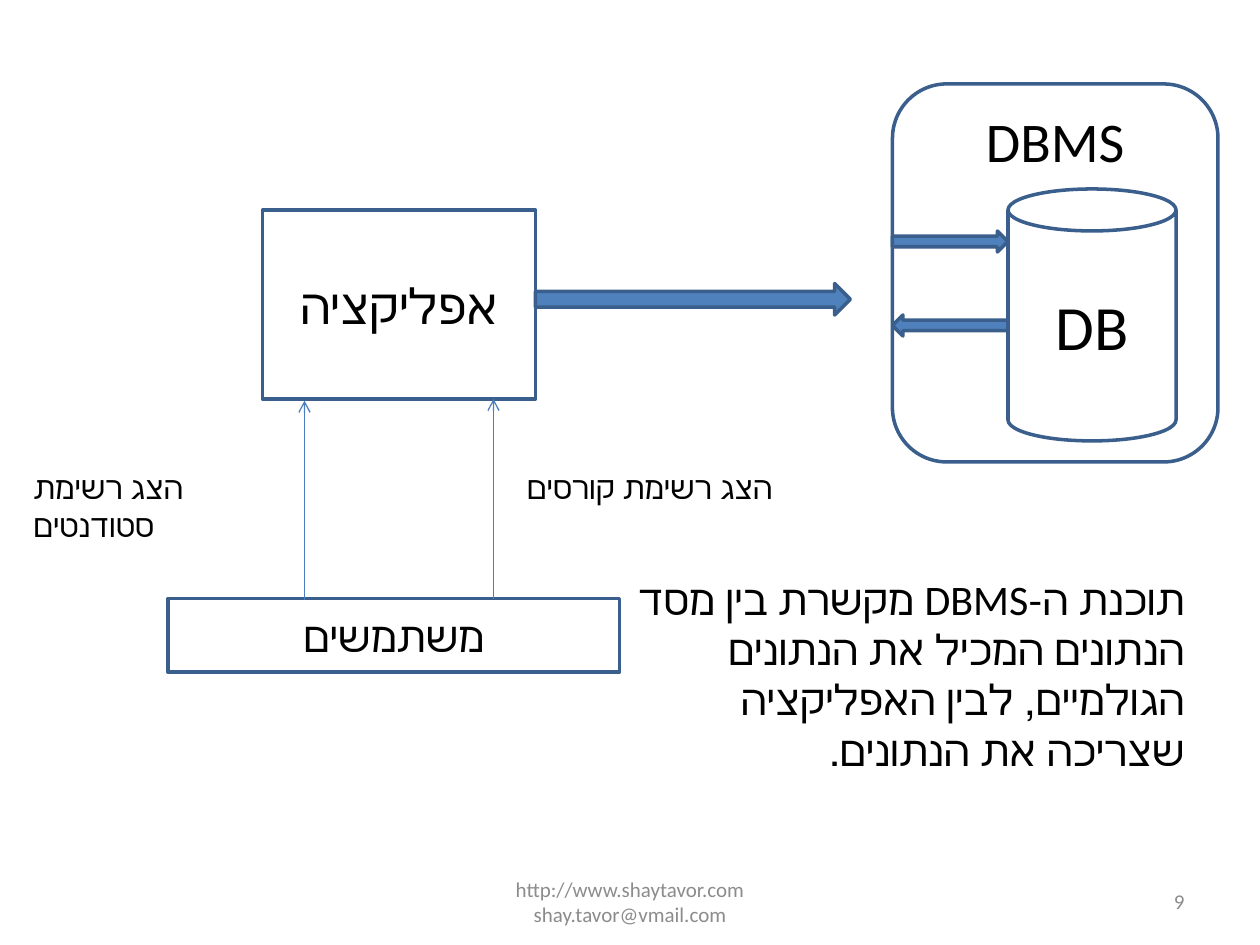
from lxml.etree import SubElement
from pptx import Presentation
from pptx.dml.color import RGBColor
from pptx.enum.shapes import MSO_CONNECTOR, MSO_SHAPE
from pptx.enum.text import MSO_ANCHOR, PP_ALIGN
from pptx.oxml.ns import qn
from pptx.util import Pt

FONT = "Calibri"
BLACK, GREY = "000000", "8C8C8C"
OUTLINE, ARROW_FILL, THIN_LINE = "3A5F8C", "4F81BD", "4B7EBC"


def color(hex_value):
    return RGBColor.from_string(hex_value)


def write_text(shape, text, size=18, text_color=BLACK, align=PP_ALIGN.LEFT,
               anchor=MSO_ANCHOR.TOP, right_to_left=False):
    frame = shape.text_frame
    frame.word_wrap = True
    frame.vertical_anchor = anchor
    paragraph = frame.paragraphs[0]
    paragraph.alignment = align
    if right_to_left:
        paragraph._p.get_or_add_pPr().set("rtl", "1")
    run = paragraph.add_run()
    run.text = text
    run.font.name = FONT
    run.font.size = Pt(size)
    run.font.color.rgb = color(text_color)


def add_text(slide, box, text, **text_format):
    write_text(slide.shapes.add_textbox(*map(Pt, box)), text, **text_format)


def add_figure(slide, kind, box, fill=None):
    shape = slide.shapes.add_shape(kind, *map(Pt, box))
    shape.shadow.inherit = False
    shape.line.color.rgb = color(OUTLINE)
    shape.line.width = Pt(2)
    if fill:
        shape.fill.solid()
        shape.fill.fore_color.rgb = color(fill)
    else:
        shape.fill.background()
    return shape


def add_labelled_figure(slide, kind, box, text, size, anchor=MSO_ANCHOR.MIDDLE):
    write_text(add_figure(slide, kind, box), text, size=size,
               align=PP_ALIGN.CENTER, anchor=anchor)


def add_request_arrow(slide, x, bottom, top):
    connector = slide.shapes.add_connector(
        MSO_CONNECTOR.STRAIGHT, Pt(x), Pt(bottom), Pt(x), Pt(top))
    connector.line.color.rgb = color(THIN_LINE)
    connector.line.width = Pt(0.75)
    SubElement(connector.line._get_or_add_ln(), qn("a:tailEnd"), type="arrow")
    SubElement(connector._element.spPr, qn("a:effectLst"))


def add_client_side(slide, box):
    """Application above, users below, and the requests between them."""
    left, top, width, height = box
    application_left, application_width, application_height = left + 54, 156, 108
    application_bottom = top + application_height
    users_height = 42
    users_top = top + height - users_height

    add_labelled_figure(slide, MSO_SHAPE.RECTANGLE,
                        (application_left, top, application_width, application_height),
                        "אפליקציה", 28)
    add_labelled_figure(slide, MSO_SHAPE.RECTANGLE,
                        (left, users_top, width, users_height), "משתמשים", 24)
    requests = (
        (left + 186, 0, left + 198, "הצג רשימת קורסים"),
        (left + 78, 1, left - 84, "הצג רשימת סטודנטים"),
    )
    for arrow_x, drop, label_left, label in requests:
        add_request_arrow(slide, arrow_x, users_top + drop, application_bottom + drop)
        add_text(slide, (label_left, application_bottom + 36, 168, 29), label)
    add_figure(slide, MSO_SHAPE.RIGHT_ARROW,
               (application_left + application_width, top + 42, 180, 18), ARROW_FILL)


def add_dbms(slide, box):
    left, top, width, height = box
    database_left = left + 66
    add_labelled_figure(slide, MSO_SHAPE.CAN, (database_left, top + 60, 96, 144), "DB", 36)
    add_labelled_figure(slide, MSO_SHAPE.ROUNDED_RECTANGLE, box, "DBMS", 32,
                        anchor=MSO_ANCHOR.TOP)
    for kind, offset in ((MSO_SHAPE.RIGHT_ARROW, 84), (MSO_SHAPE.LEFT_ARROW, 132)):
        add_figure(slide, kind, (left, top + offset, database_left - left, 12), ARROW_FILL)


def add_footer(slide, box):
    left, top, width, height = box
    footer_format = dict(size=12, text_color=GREY, anchor=MSO_ANCHOR.MIDDLE)
    add_text(slide, (left, top, 228, height),
             "http://www.shaytavor.com shay.tavor@vmail.com",
             align=PP_ALIGN.CENTER, **footer_format)
    number_width = 168
    add_text(slide, (left + width - number_width, top, number_width, height), "9",
             align=PP_ALIGN.RIGHT, **footer_format)


def main():
    presentation = Presentation()
    presentation.slide_width, presentation.slide_height = Pt(720), Pt(540)
    slide = presentation.slides.add_slide(presentation.slide_layouts[6])
    add_footer(slide, (246, 500.5, 438, 29))
    add_client_side(slide, (96, 120, 258, 264))
    add_text(slide, (354, 324, 330, 124),
             "תוכנת ה-DBMS מקשרת בין מסד הנתונים המכיל את הנתונים הגולמיים, "
             "לבין האפליקציה שצריכה את הנתונים.",
             size=24, align=PP_ALIGN.RIGHT, right_to_left=True)
    add_dbms(slide, (510, 48, 186, 216))
    presentation.save("out.pptx")


if __name__ == "__main__":
    main()
